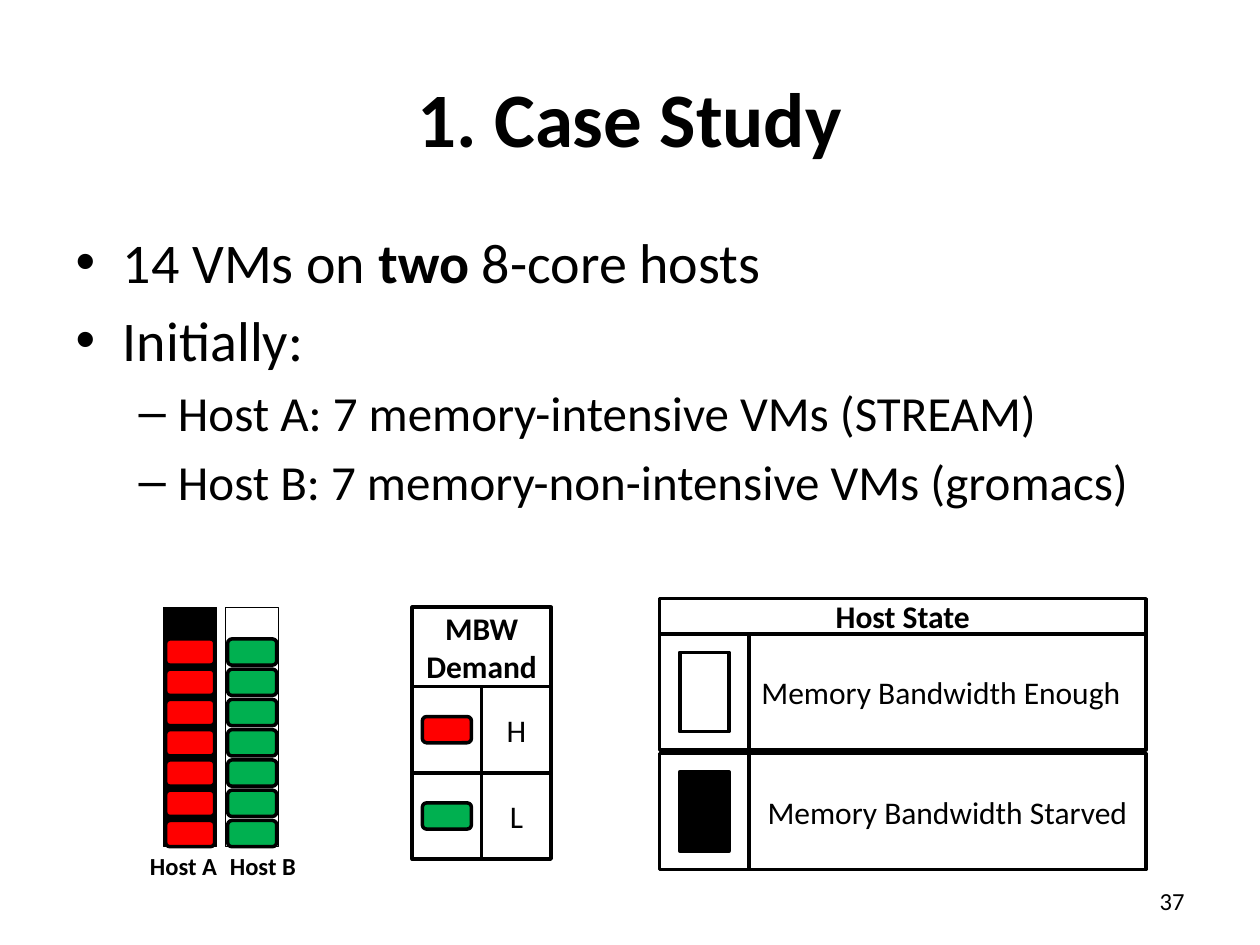
from pptx import Presentation
from pptx.dml.color import RGBColor
from pptx.enum.shapes import MSO_SHAPE as Shape
from pptx.enum.text import MSO_ANCHOR as Anchor, PP_ALIGN as Align
from pptx.util import Cm, Pt

BLACK, WHITE, RED, GREEN = "000000", "FFFFFF", "FF0000", "00B050"
TITLE = "1. Case Study"
BULLETS = [
    (0, [("14 VMs on ", False), ("two", True), (" 8-core hosts", False)]),
    (0, [("Initially:", False)]),
    (1, [("Host A: 7 memory-intensive VMs (STREAM)", False)]),
    (1, [("Host B: 7 memory-non-intensive VMs (gromacs)", False)]),
]
HOSTS = [("Host A", BLACK, RED, 3.3, 2.62), ("Host B", WHITE, GREEN, 4.55, 4.22)]
VMS_PER_HOST = 7
DEMANDS = [("H", RED), ("L", GREEN)]
STATES = [("Memory Bandwidth Enough", WHITE, Align.LEFT),
          ("Memory Bandwidth Starved", BLACK, Align.CENTER)]
PAGE = "37"

VM_W, VM_H = 0.99, 0.53
HOST_TOP, HOST_W, HOST_H = 12.24, 1.07, 4.83
VM_TOP, VM_PITCH = 12.88, 0.61
DEMAND_LEFT, DEMAND_TOP, DEMAND_HEAD = 8.31, 12.24, 1.6
DEMAND_W, DEMAND_H = 1.4, 1.74
STATE_LEFT, STATE_TOP, STATE_HEAD = 13.3, 12.07, 0.71
STATE_KEY_W, STATE_TEXT_W, STATE_H, STATE_PITCH = 1.8, 8, 2.34, 2.41
SWATCH_W, SWATCH_H = 0.99, 1.6


def color(hex_code):
    return RGBColor.from_string(hex_code)


def write(paragraph, text, size=18, bold=False, align=None):
    if align is not None:
        paragraph.alignment = align
    run = paragraph.add_run()
    run.text = text
    run.font.name = "Calibri"
    run.font.size = Pt(size)
    run.font.bold = bold
    run.font.color.rgb = color(BLACK)


def place(item, left, top, width, height):
    item.left, item.top, item.width, item.height = map(Cm, (left, top, width, height))


def box(shapes, left, top, width, height, fill=None, line=2, kind=Shape.RECTANGLE,
        text=None, **style):
    shape = shapes.add_shape(kind, Cm(left), Cm(top), Cm(width), Cm(height))
    shape.shadow.inherit = False
    if fill:
        shape.fill.solid()
        shape.fill.fore_color.rgb = color(fill)
    else:
        shape.fill.background()
    shape.line.color.rgb = color(BLACK)
    shape.line.width = Pt(line)
    if text:
        frame = shape.text_frame
        frame.word_wrap = True
        frame.vertical_anchor = Anchor.MIDDLE
        write(frame.paragraphs[0], text, **{"align": Align.CENTER, **style})


def vm(shapes, left, top, fill):
    box(shapes, left, top, VM_W, VM_H, fill, kind=Shape.ROUNDED_RECTANGLE)


def label(shapes, left, top, width, height, text, anchor=Anchor.TOP, **style):
    caption = shapes.add_textbox(Cm(left), Cm(top), Cm(width), Cm(height))
    caption.text_frame.word_wrap = True
    caption.text_frame.vertical_anchor = anchor
    write(caption.text_frame.paragraphs[0], text, size=14, **style)


def add_bullets(body):
    place(body, 1.27, 4.45, 22.23, 6.96)
    frame = body.text_frame
    for index, (level, runs) in enumerate(BULLETS):
        paragraph = frame.add_paragraph() if index else frame.paragraphs[0]
        paragraph.level = level
        for text, bold in runs:
            write(paragraph, text, size=28 if level else 32, bold=bold)


def add_hosts(shapes):
    for name, host_fill, vm_fill, left, label_left in HOSTS:
        host = shapes.add_group_shape().shapes
        box(host, left, HOST_TOP, HOST_W, HOST_H, host_fill, line=0.5)
        for index in range(VMS_PER_HOST):
            vm(host, left + (HOST_W - VM_W) / 2, VM_TOP + index * VM_PITCH, vm_fill)
        label(shapes, label_left, 17.04, 2.16, 0.86, name, bold=True, align=Align.CENTER)


def add_demand_legend(shapes):
    box(shapes, DEMAND_LEFT, DEMAND_TOP, 2 * DEMAND_W, DEMAND_HEAD,
        text="MBW Demand", bold=True)
    for index, (level, fill) in enumerate(DEMANDS):
        top = DEMAND_TOP + DEMAND_HEAD + index * DEMAND_H
        box(shapes, DEMAND_LEFT, top, DEMAND_W, DEMAND_H)
        box(shapes, DEMAND_LEFT + DEMAND_W, top, DEMAND_W, DEMAND_H, text=level)
        vm(shapes, DEMAND_LEFT + (DEMAND_W - VM_W) / 2, top + (DEMAND_H - VM_H) / 2, fill)


def add_state_legend(shapes):
    for index, (state, fill, align) in enumerate(STATES):
        top = STATE_TOP + STATE_HEAD + index * STATE_PITCH
        box(shapes, STATE_LEFT, top, STATE_KEY_W, STATE_H)
        box(shapes, STATE_LEFT + (STATE_KEY_W - SWATCH_W) / 2,
            top + (STATE_H - SWATCH_H) / 2, SWATCH_W, SWATCH_H, fill)
        box(shapes, STATE_LEFT + STATE_KEY_W, top, STATE_TEXT_W, STATE_H,
            text=state, align=align)
    box(shapes, STATE_LEFT, STATE_TOP, STATE_KEY_W + STATE_TEXT_W, STATE_HEAD,
        text="Host State", bold=True)


def main():
    deck = Presentation()
    deck.slide_width, deck.slide_height = Cm(25.4), Cm(19.05)
    slide = deck.slides.add_slide(deck.slide_layouts[1])
    shapes = slide.shapes
    place(shapes.title, 1.27, 0.76, 22.86, 3.18)
    shapes.title.text_frame.vertical_anchor = Anchor.MIDDLE
    write(shapes.title.text_frame.paragraphs[0], TITLE, size=44, bold=True,
          align=Align.CENTER)
    add_bullets(slide.placeholders[1])
    label(shapes, 18.21, 17.65, 5.92, 1.02, PAGE, anchor=Anchor.MIDDLE, align=Align.RIGHT)
    add_demand_legend(shapes)
    add_hosts(shapes)
    add_state_legend(shapes)
    deck.save("out.pptx")


if __name__ == "__main__":
    main()
